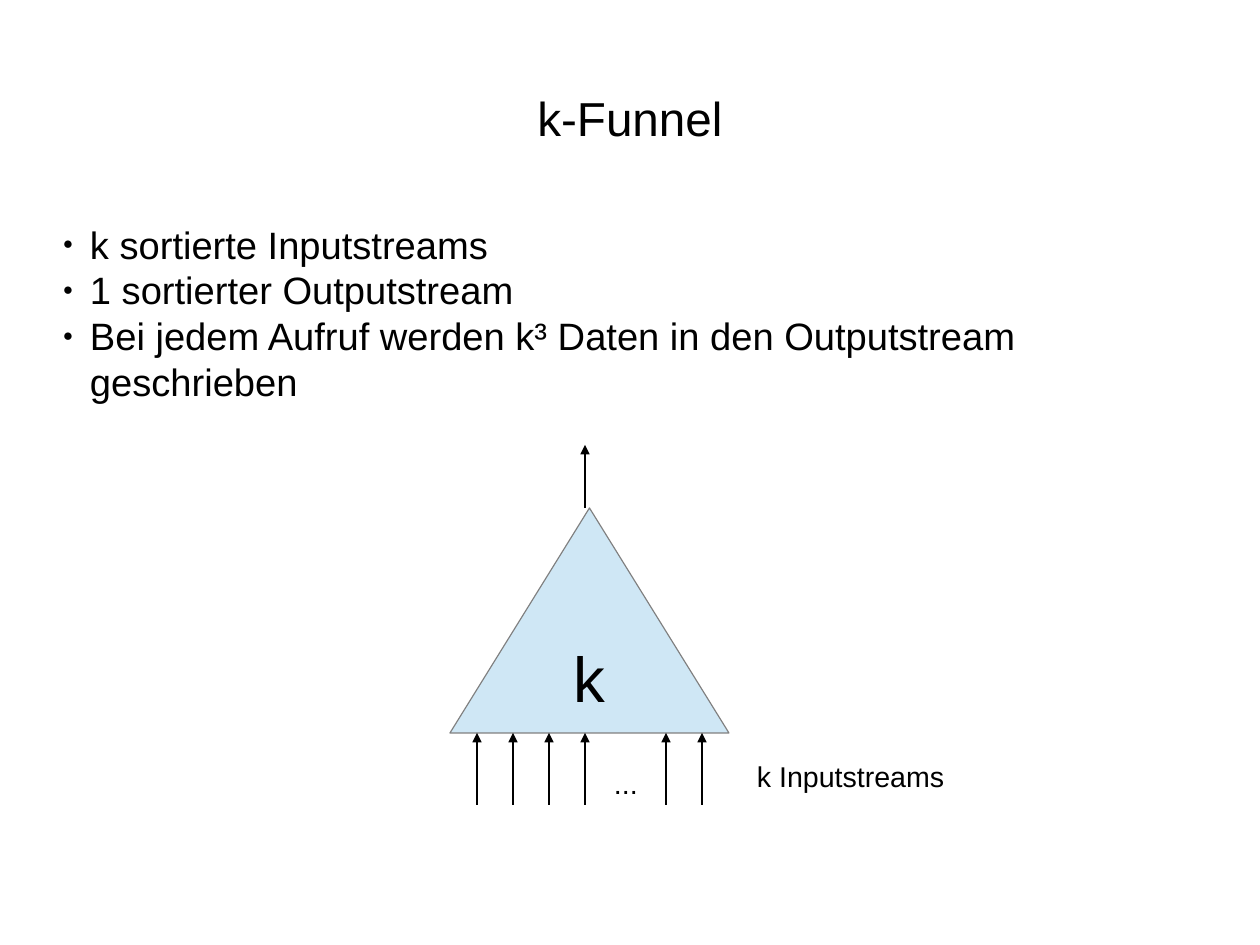
from lxml import etree
from pptx import Presentation
from pptx.dml.color import RGBColor
from pptx.enum.shapes import MSO_CONNECTOR, MSO_SHAPE
from pptx.enum.text import MSO_ANCHOR as ANCHOR, PP_ALIGN as ALIGN
from pptx.oxml.ns import qn
from pptx.util import Pt

PX = 8000  # EMU per px
COLORS = {"text": "000000", "fill": "CFE7F5", "outline": "808080", "arrow": "000000"}


def rgb(name):
    return RGBColor.from_string(COLORS[name])


def put_text(sp, lines, size, align=ALIGN.LEFT, anchor=ANCHOR.TOP, inset=(11, 6)):
    tf = sp.text_frame
    tf.word_wrap = False
    tf.vertical_anchor = anchor
    tf.margin_left = tf.margin_right = inset[0] * PX
    tf.margin_top = tf.margin_bottom = inset[1] * PX
    tf.text = "\n".join(lines)
    for p in tf.paragraphs:
        p.alignment = align
        p.font.size = Pt(size)
        p.font.name = "Arial"
        p.font.color.rgb = rgb("text")
    return tf


prs = Presentation()
prs.slide_width, prs.slide_height = 1260 * PX, 945 * PX
s = prs.slides.add_slide(prs.slide_layouts[6])

# Title
title = s.shapes.add_textbox(63 * PX, 38 * PX, 1134 * PX, 158 * PX)
put_text(title, ["k-Funnel"], 30, ALIGN.CENTER, ANCHOR.MIDDLE, (0, 0))

# Bullet list
body = s.shapes.add_textbox(63 * PX, 221 * PX, 1109 * PX, 547 * PX)
tf = put_text(body, [
    "k sortierte Inputstreams",
    "1 sortierter Outputstream",
    "Bei jedem Aufruf werden k³ Daten in den Outputstream geschrieben",
], 24, inset=(0, 0))
for p in tf.paragraphs:
    pPr = p._p.get_or_add_pPr()
    pPr.set("marL", str(27 * PX))
    pPr.set("indent", str(-27 * PX))
    bullet = [etree.Element(qn("a:buSzPct"), val="45000"),
              etree.Element(qn("a:buFont"), typeface="Arial"),
              etree.Element(qn("a:buChar"), char="●")]
    for i, el in enumerate(bullet):
        pPr.insert(i, el)

# Funnel
funnel = s.shapes.add_shape(MSO_SHAPE.ISOSCELES_TRIANGLE,
                            450 * PX, 508 * PX, 279 * PX, 225 * PX)
funnel.shadow.inherit = False
funnel.fill.solid()
funnel.fill.fore_color.rgb = rgb("fill")
funnel.line.color.rgb = rgb("outline")
funnel.line.width = Pt(0.75)
put_text(funnel, ["k"], 40, ALIGN.CENTER, ANCHOR.MIDDLE)

# Input arrows below the funnel, output arrow above it
inputs = [477 + 36 * i for i in range(4)] + [666, 702]
arrows = [(x, 805, 733) for x in inputs] + [(585, 508, 445)]
for x, start, end in arrows:
    c = s.shapes.add_connector(MSO_CONNECTOR.STRAIGHT, x * PX, start * PX, x * PX, end * PX)
    c.line.color.rgb = rgb("arrow")
    c.line.width = Pt(0.75)
    etree.SubElement(c.line._get_or_add_ln(), qn("a:tailEnd"), type="triangle")
    etree.SubElement(c._element.spPr, qn("a:effectLst"))

# Labels
for text, x, y, w in [("...", 603, 760, 107), ("k Inputstreams", 746, 753, 270)]:
    put_text(s.shapes.add_textbox(x * PX, y * PX, w * PX, 43 * PX), [text], 18)

prs.save("out.pptx")
